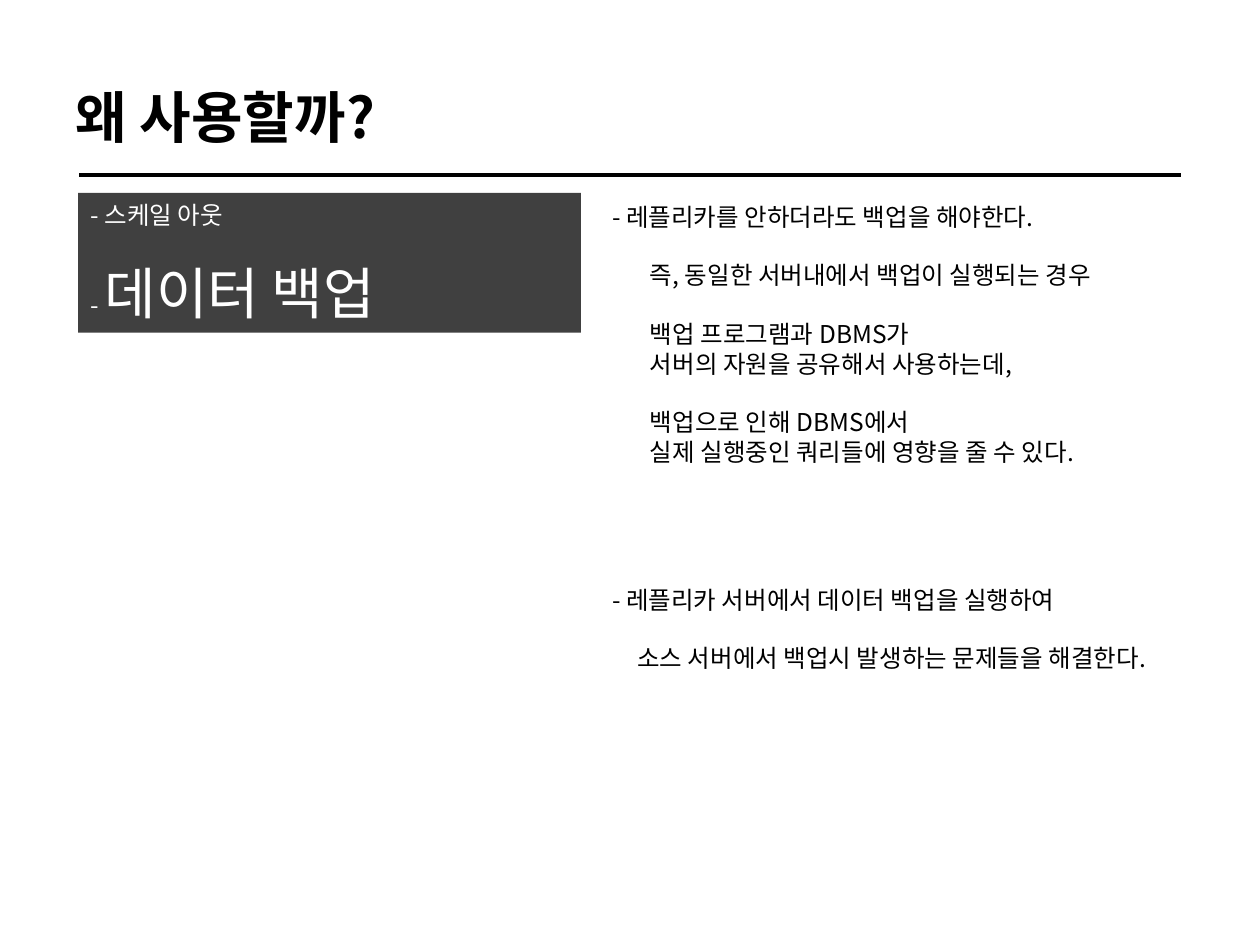
from lxml import etree
from pptx import Presentation
from pptx import util as u
from pptx.dml.color import RGBColor
from pptx.enum import shapes, text
from pptx.oxml.ns import qn

FONT = "Noto Sans CJK KR"
BLACK = RGBColor(0, 0, 0)
WHITE = RGBColor(255, 255, 255)
CHARCOAL = RGBColor(64, 64, 64)

COLUMNS, ROWS = 100, 75
SLIDE_W, SLIDE_H = u.Inches(10), u.Inches(7.5)
BODY_SIZE, TITLE_SIZE = 14, 32
BLANK_LINE = 16.8  # height of one line of body text, in points
HANG, INNER = 2, 3  # columns


def columns(count):
    return round(SLIDE_W * count / COLUMNS)


def rows(count):
    return round(SLIDE_H * count / ROWS)


def grid_box(left, top, width, height):
    return columns(left), rows(top), columns(width), rows(height)


def write(frame, runs, size=BODY_SIZE, color=BLACK, bold=False,
          margin=0, indent=0, before=0):
    """Add a paragraph; runs is a string or a list of (string, size) pairs."""
    first = not frame.paragraphs[0].runs
    paragraph = frame.paragraphs[0] if first else frame.add_paragraph()
    paragraph.alignment = text.PP_ALIGN.LEFT
    paragraph.space_before = u.Pt(before)
    properties = paragraph._p.get_or_add_pPr()
    properties.set("marL", str(columns(margin)))
    properties.set("indent", str(columns(indent)))
    for words, points in [(runs, size)] if isinstance(runs, str) else runs:
        for number, line in enumerate(words.split("\n")):
            if number:
                paragraph.add_line_break()
            run = paragraph.add_run()
            run.text = line
            run.font.name = FONT
            run.font.size = u.Pt(points)
            run.font.bold = bold
            run.font.color.rgb = color
            east_asian = etree.SubElement(run._r.rPr, qn("a:ea"))
            east_asian.set("typeface", FONT)


def text_frame(slide, box, anchor=text.MSO_ANCHOR.TOP):
    frame = slide.shapes.add_textbox(*box).text_frame
    frame.word_wrap = True
    frame.vertical_anchor = anchor
    return frame


def heading(slide, box):
    frame = text_frame(slide, box, text.MSO_ANCHOR.MIDDLE)
    write(frame, "왜 사용할까?", size=TITLE_SIZE, bold=True)


def divider(slide, box):
    left, top, width, height = box
    rule = slide.shapes.add_connector(
        shapes.MSO_CONNECTOR.STRAIGHT, left, top, left + width, top + height)
    rule.line.color.rgb = BLACK
    rule.line.width = u.Pt(2)
    etree.SubElement(rule._element.spPr, qn("a:effectLst"))


def topic_panel(slide, box):
    panel = slide.shapes.add_shape(shapes.MSO_SHAPE.RECTANGLE, *box)
    panel.shadow.inherit = False
    panel.fill.solid()
    panel.fill.fore_color.rgb = CHARCOAL
    panel.line.fill.background()
    frame = panel.text_frame
    frame.word_wrap = True
    frame.vertical_anchor = text.MSO_ANCHOR.MIDDLE
    write(frame, "- 스케일 아웃", color=WHITE)
    write(frame, [("- ", BODY_SIZE), ("데이터 백업", TITLE_SIZE)],
          color=WHITE, before=BLANK_LINE)


def explanation(slide, box, point, details, margin):
    """A dashed point, then its details, each after a gap of one line."""
    frame = text_frame(slide, box)
    write(frame, "- " + point, margin=HANG, indent=-HANG)
    for detail in details:
        write(frame, detail, margin=margin, before=BLANK_LINE)


def main():
    deck = Presentation()
    deck.slide_width, deck.slide_height = SLIDE_W, SLIDE_H
    slide = deck.slides.add_slide(deck.slide_layouts[6])

    heading(slide, grid_box(5, 2.1, 90, 14.2))
    divider(slide, grid_box(6.3, 13.9, 87.4, 0))
    topic_panel(slide, grid_box(6.2, 15.3, 39.9, 11.1))
    explanation(
        slide, grid_box(47.6, 15.5, 54.1, 22.2),
        "레플리카를 안하더라도 백업을 해야한다.",
        ["즉, 동일한 서버내에서 백업이 실행되는 경우",
         "백업 프로그램과 DBMS가\n서버의 자원을 공유해서 사용하는데,",
         "백업으로 인해 DBMS에서\n실제 실행중인 쿼리들에 영향을 줄 수 있다."],
        margin=INNER)
    explanation(
        slide, grid_box(47.6, 45.9, 54.1, 8.1),
        "레플리카 서버에서 데이터 백업을 실행하여",
        ["소스 서버에서 백업시 발생하는 문제들을 해결한다."],
        margin=HANG)

    deck.save("out.pptx")


if __name__ == "__main__":
    main()
